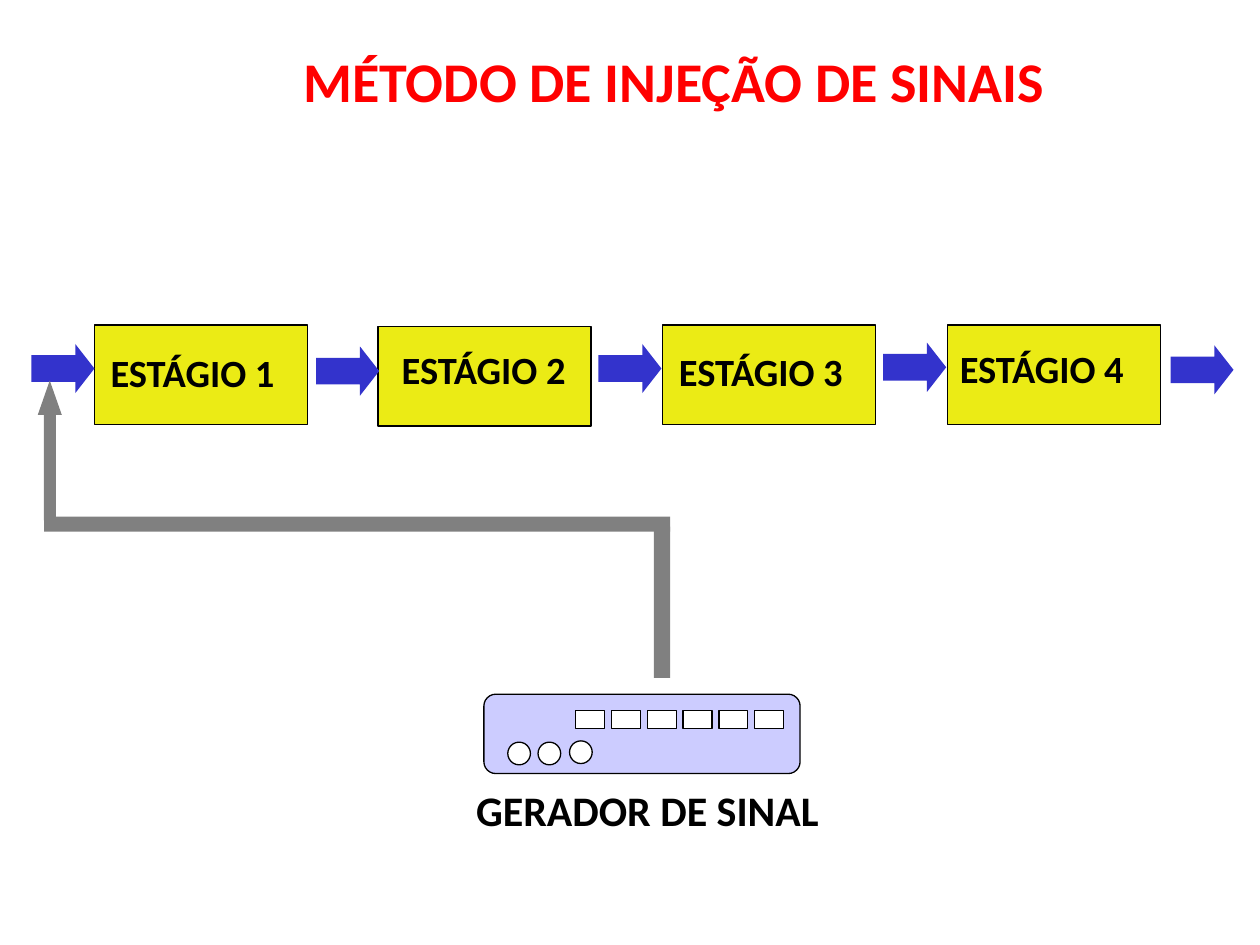
from dataclasses import dataclass

from pptx import Presentation
from pptx.dml.color import RGBColor
from pptx.enum import shapes, text
from pptx.util import Inches, Pt

COLORS = {
    "title": "FF0000",
    "ink": "000000",
    "stage": "EBEB15",
    "flow": "3333CC",
    "cable": "808080",
    "generator": "CCCCFF",
    "control": "FFFFFF",
}
KIND = shapes.MSO_SHAPE


@dataclass(frozen=True)
class Box:
    left: float
    top: float
    width: float
    height: float

    def lengths(self) -> list:
        return [Inches(v) for v in (self.left, self.top, self.width, self.height)]


@dataclass(frozen=True)
class Stage:
    name: str
    left: float
    top: float
    label_left: float
    label_top: float


STAGES = [
    Stage("ESTÁGIO 1", 0.75, 2.58, 0.78, 2.72),
    Stage("ESTÁGIO 2", 3.00, 2.59, 3.09, 2.70),
    Stage("ESTÁGIO 3", 5.26, 2.58, 5.29, 2.71),
    Stage("ESTÁGIO 4", 7.52, 2.58, 7.52, 2.69),
]
FLOW_ARROWS = [(0.25, 2.73), (2.51, 2.75), (4.75, 2.73), (7.01, 2.72), (9.29, 2.74)]
KNOBS = [(4.03, 5.89), (4.27, 5.89), (4.52, 5.88)]
BUTTON_COUNT, BUTTON_LEFT, BUTTON_PITCH = 6, 4.57, 0.284


def add_part(slide, kind, box: Box, color: str, outlined: bool = False,
             adjustments: tuple = ()) -> None:
    part = slide.shapes.add_shape(kind, *box.lengths())
    part.shadow.inherit = False
    part.fill.solid()
    part.fill.fore_color.rgb = RGBColor.from_string(COLORS[color])
    if outlined:
        part.line.color.rgb = RGBColor.from_string(COLORS["ink"])
        part.line.width = Pt(0.75)
    else:
        part.line.fill.background()
    for index, value in enumerate(adjustments):
        part.adjustments[index] = value


def add_label(slide, wording: str, box: Box, size: int, color: str = "ink") -> None:
    frame = slide.shapes.add_textbox(*box.lengths()).text_frame
    frame.word_wrap = False
    frame.auto_size = text.MSO_AUTO_SIZE.SHAPE_TO_FIT_TEXT
    run = frame.paragraphs[0].add_run()
    run.text = wording
    for attribute, value in {"name": "Calibri", "size": Pt(size), "bold": True}.items():
        setattr(run.font, attribute, value)
    run.font.color.rgb = RGBColor.from_string(COLORS[color])


def draw_generator(slide) -> None:
    add_part(slide, KIND.ROUNDED_RECTANGLE, Box(3.84, 5.51, 2.51, 0.63),
             "generator", True, (0.15,))
    for index in range(BUTTON_COUNT):
        left = BUTTON_LEFT + index * BUTTON_PITCH
        add_part(slide, KIND.RECTANGLE, Box(left, 5.64, 0.23, 0.14), "control", True)
    for left, top in KNOBS:
        add_part(slide, KIND.OVAL, Box(left, top, 0.18, 0.18), "control", True)
    add_label(slide, "GERADOR DE SINAL", Box(3.68, 6.18, 2.99, 0.5), 24)


def draw_stages(slide) -> None:
    for stage in STAGES:
        add_part(slide, KIND.RECTANGLE, Box(stage.left, stage.top, 1.69, 0.79), "stage", True)
    for left, top in FLOW_ARROWS:
        add_part(slide, KIND.RIGHT_ARROW, Box(left, top, 0.5, 0.39), "flow",
                 adjustments=(0.54, 0.39))
    for stage in STAGES:
        add_label(slide, stage.name, Box(stage.label_left, stage.label_top, 1.53, 0.47), 22)


def draw_cable(slide) -> None:
    """Route the generator signal to the input of the first stage."""
    add_part(slide, KIND.UP_ARROW, Box(0.3, 3.02, 0.19, 1.11), "cable",
             adjustments=(0.5, 1.43))
    add_part(slide, KIND.RECTANGLE, Box(0.35, 4.1, 4.97, 0.12), "cable")
    add_part(slide, KIND.RECTANGLE, Box(5.19, 4.18, 0.13, 1.2), "cable")


def main() -> None:
    deck = Presentation()
    deck.slide_width, deck.slide_height = Inches(10), Inches(7.5)
    slide = deck.slides.add_slide(deck.slide_layouts[6])
    add_label(slide, "MÉTODO DE INJEÇÃO DE SINAIS", Box(2.31, 0.32, 6.11, 0.64), 32, "title")
    draw_generator(slide)
    draw_stages(slide)
    draw_cable(slide)
    deck.save("out.pptx")


if __name__ == "__main__":
    main()
